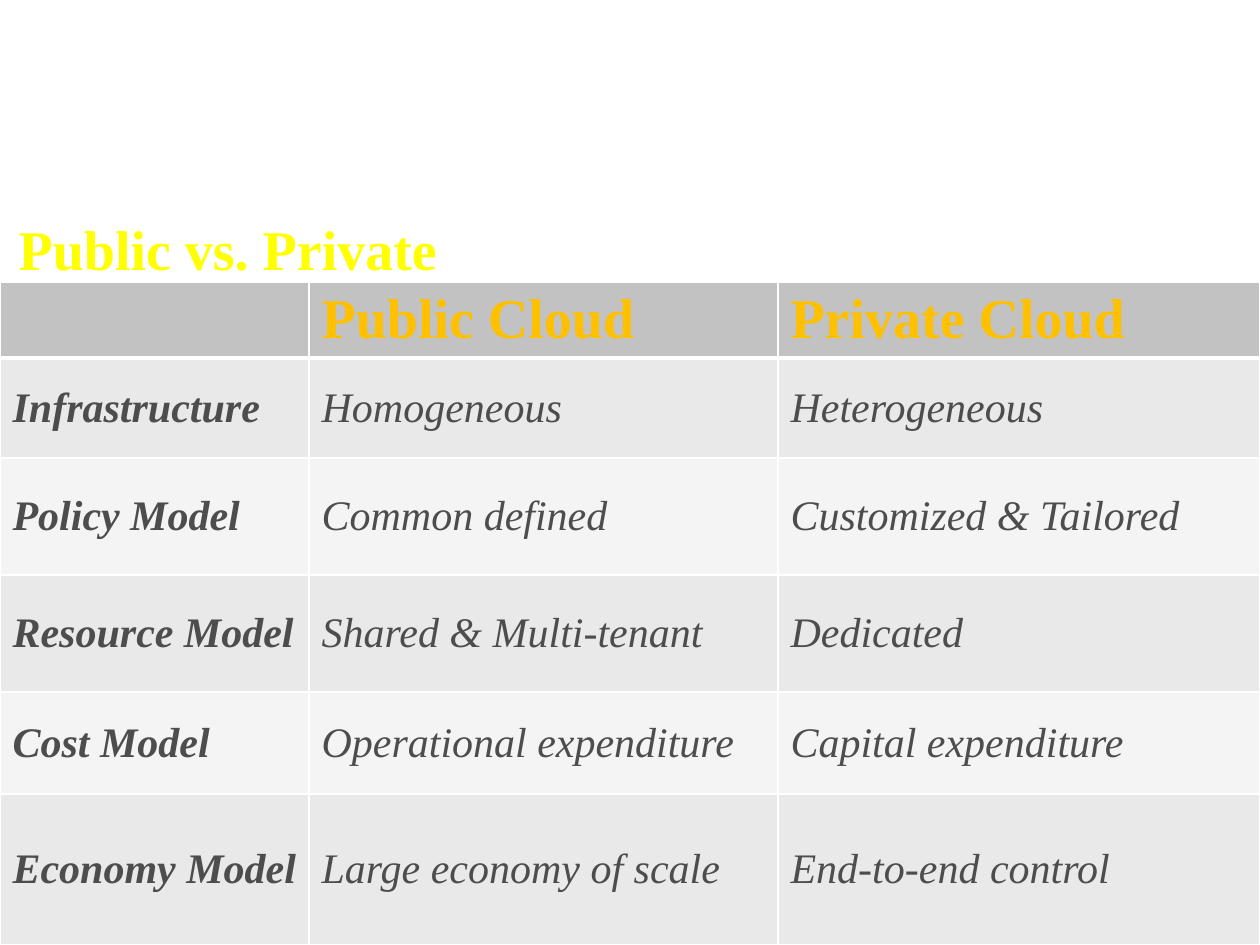
from dataclasses import dataclass

import pptx
import pptx.dml.color
import pptx.enum.text
import pptx.oxml
import pptx.oxml.ns
import pptx.util


@dataclass(frozen=True)
class Theme:
    font: str = "Times New Roman"
    title: str = "FFFF00"
    head: str = "FFC000"
    body: str = "4D4D4D"
    rule: str = "FFFFFF"
    top: str = "C2C2C2"
    bands: tuple = ("E9E9E9", "F4F4F4")
    large: int = 32
    small: int = 24


class Deck:
    """Build slides in one style, with lengths in px at 126 to the inch."""

    def __init__(self, theme, width, height):
        self.theme = theme
        self.show = pptx.Presentation()
        self.show.slide_width = self.emu(width)
        self.show.slide_height = self.emu(height)
        self.slide = self.show.slides.add_slide(self.show.slide_layouts[5])

    def emu(self, px):
        return pptx.util.Emu(round(px * 914400 / 126))

    def color(self, code):
        return pptx.dml.color.RGBColor.from_string(code)

    def label(self, frame, text, size, color, bold=False, italic=False):
        frame.text = text
        for run in frame.paragraphs[0].runs:
            font = run.font
            font.name = self.theme.font
            font.size = pptx.util.Pt(size)
            font.color.rgb = self.color(color)
            font.bold = bold
            font.italic = italic

    def title(self, text, left, top, width, height):
        shape = self.slide.shapes.title
        shape.left, shape.top = self.emu(left), self.emu(top)
        shape.width, shape.height = self.emu(width), self.emu(height)
        frame = shape.text_frame
        self.label(frame, text, self.theme.large, self.theme.title, bold=True)
        frame.vertical_anchor = pptx.enum.text.MSO_ANCHOR.MIDDLE
        frame.paragraphs[0].alignment = pptx.enum.text.PP_ALIGN.LEFT

    def border(self, cell, sides):
        props = cell._tc.get_or_add_tcPr()
        for spot, (side, points) in enumerate(sides.items()):
            line = pptx.oxml.parse_xml(
                f'<a:ln{side} {pptx.oxml.ns.nsdecls("a")} w="{pptx.util.Pt(points)}">'
                f'<a:solidFill><a:srgbClr val="{self.theme.rule}"/></a:solidFill>'
                f'</a:ln{side}>')
            props.insert(spot, line)

    def cell(self, cell, text, row, col):
        look = self.theme
        head = row == 0
        if head:
            self.label(cell.text_frame, text, look.large, look.head, bold=True)
        else:
            self.label(cell.text_frame, text, look.small, look.body,
                       bold=col == 0, italic=True)
            cell.vertical_anchor = pptx.enum.text.MSO_ANCHOR.MIDDLE
        cell.fill.solid()
        cell.fill.fore_color.rgb = self.color(
            look.top if head else look.bands[(row - 1) % 2])
        self.border(cell, {"L": 1, "R": 1, "T": 3 if row == 1 else 1,
                           "B": 3 if head else 1})

    def table(self, rows, left, top, widths, heights):
        table = self.slide.shapes.add_table(
            len(heights), len(widths), self.emu(left), self.emu(top),
            self.emu(sum(widths)), self.emu(sum(heights))).table
        for column, width in zip(table.columns, widths):
            column.width = self.emu(width)
        for line, height in zip(table.rows, heights):
            line.height = self.emu(height)
        for row, texts in enumerate(rows):
            for col, text in enumerate(texts):
                self.cell(table.cell(row, col), text, row, col)

    def save(self):
        self.show.save("out.pptx")


ROWS = [
    ("", "Public Cloud", "Private Cloud"),
    ("Infrastructure", "Homogeneous", "Heterogeneous"),
    ("Policy Model", "Common defined", "Customized & Tailored"),
    ("Resource Model", "Shared & Multi-tenant", "Dedicated"),
    ("Cost Model", "Operational expenditure", "Capital expenditure"),
    ("Economy Model", "Large economy of scale", "End-to-end control"),
]


def main():
    deck = Deck(Theme(), 1260, 945)
    deck.title("Public vs. Private", 6, 213, 1052, 71)
    deck.table(ROWS, 0, 282, (309, 469, 482), (76, 100, 117, 117, 102, 151))
    deck.save()


if __name__ == "__main__":
    main()
